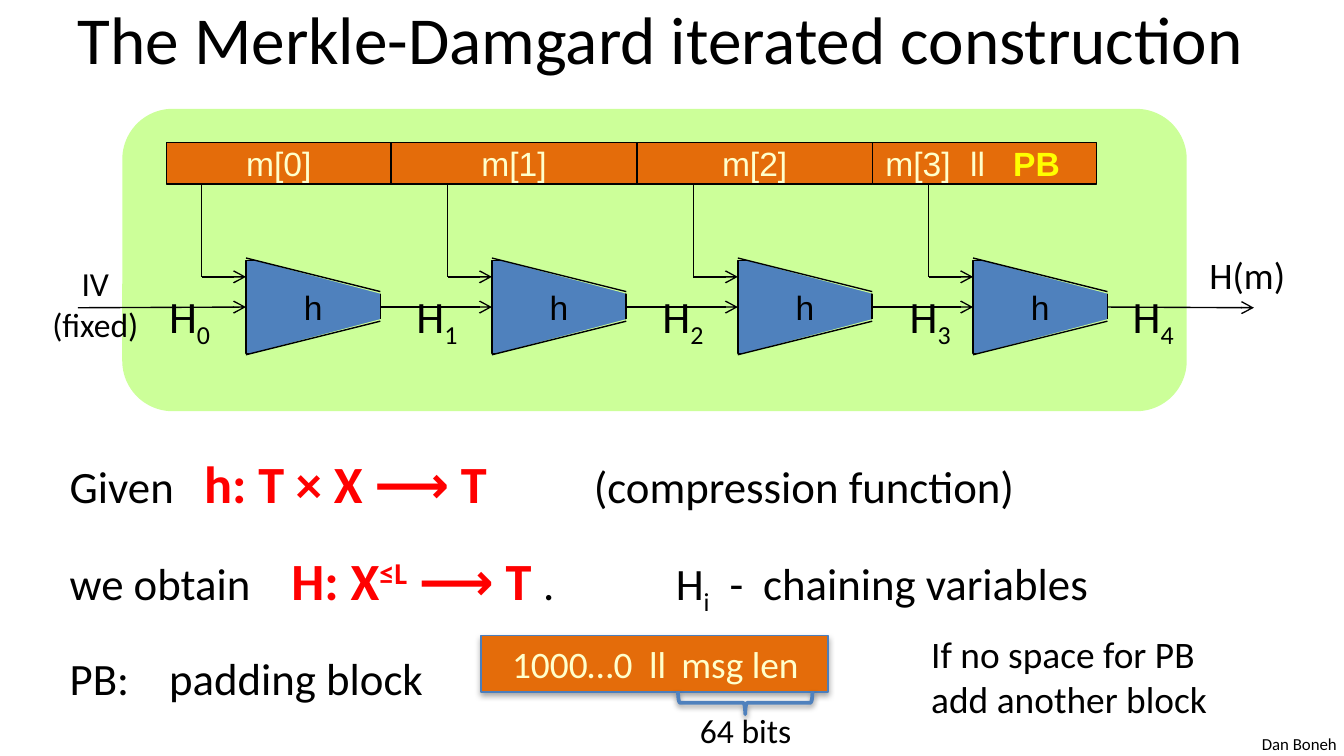
from typing import NamedTuple

from lxml.etree import SubElement
from pptx import Presentation
from pptx.dml.color import RGBColor
from pptx.enum.shapes import MSO_CONNECTOR as Link, MSO_SHAPE as Kind
from pptx.enum.text import MSO_ANCHOR as Anchor, MSO_AUTO_SIZE as Fit, PP_ALIGN as Align
from pptx.oxml.ns import qn
from pptx.util import Inches, Pt

COLORS = {"black": "000000", "panel": "CCFF99", "wedge": "4F81BD", "block": "E46C0A",
          "cream": "FFFFCC", "yellow": "FFFF00", "red": "FF0000", "edge": "4B7EBC"}


class Span(NamedTuple):
    text: str
    size: float = 24
    color: str = "black"
    bold: bool = False
    baseline: int = 0  # percent: above zero raises, below zero lowers
    font: str = "Calibri"


class Block(NamedTuple):
    left: float
    width: float
    spans: list[Span]
    tabs: tuple[float, ...] = ()


class Stage(NamedTuple):
    left: float
    label_left: float


LINE_BREAK = Span("\n")


def rgb(name: str) -> RGBColor:
    return RGBColor.from_string(COLORS[name])


def add_spans(para, spans: list[Span], align=Align.LEFT, tabs: tuple[float, ...] = ()) -> None:
    para.alignment = align
    if tabs:
        tab_list = SubElement(para._p.get_or_add_pPr(), qn("a:tabLst"))
        for stop in tabs:
            SubElement(tab_list, qn("a:tab"), pos=str(Inches(stop)), algn="l")
    for item in spans:
        if item == LINE_BREAK:
            para.add_line_break()
            continue
        span = para.add_run()
        span.text = item.text
        span.font.size, span.font.name, span.font.bold = Pt(item.size), item.font, item.bold
        span.font.color.rgb = rgb(item.color)
        if item.baseline:
            span._r.get_or_add_rPr().set("baseline", str(item.baseline * 1000))


def add_label(page, left: float, top: float, width: float, height: float,
              lines: list[list[Span]], align=Align.LEFT):
    box = page.shapes.add_textbox(Inches(left), Inches(top), Inches(width), Inches(height))
    frame = box.text_frame
    frame.word_wrap = False
    for index, spans in enumerate(lines):
        para = frame.add_paragraph() if index else frame.paragraphs[0]
        add_spans(para, spans, align)
    return box


def add_box(page, kind, left: float, top: float, width: float, height: float,
            fill: str | None = None, line: str | None = None, weight: float = 0.75):
    box = page.shapes.add_shape(kind, Inches(left), Inches(top), Inches(width), Inches(height))
    box.shadow.inherit = False
    if fill:
        box.fill.solid()
        box.fill.fore_color.rgb = rgb(fill)
    else:
        box.fill.background()
    if line:
        box.line.color.rgb = rgb(line)
        box.line.width = Pt(weight)
    else:
        box.line.fill.background()
    box.text_frame.vertical_anchor = Anchor.MIDDLE
    return box


def add_shadow(box, alpha: int, distance: float) -> None:
    effects = box.element.spPr.find(qn("a:effectLst"))
    shadow = SubElement(effects, qn("a:outerShdw"), blurRad=str(Pt(3.1)),
                        dist=str(Pt(distance)), dir="5400000", rotWithShape="0")
    color = SubElement(shadow, qn("a:srgbClr"), val=COLORS["black"])
    SubElement(color, qn("a:alpha"), val=str(alpha * 1000))


def add_line(page, x1: float, y1: float, x2: float, y2: float, arrow: bool = False):
    line = page.shapes.add_connector(Link.STRAIGHT, Inches(x1), Inches(y1), Inches(x2), Inches(y2))
    line.line.color.rgb = rgb("black")
    line.line.width = Pt(0.75)
    properties = line._element.spPr
    if arrow:
        SubElement(properties.find(qn("a:ln")), qn("a:tailEnd"), type="arrow")
    SubElement(properties, qn("a:effectLst"))
    return line


def add_wedge(page, left: float):
    """A rectangle whose right corners are cut off by panel-coloured triangles."""
    wedge = add_box(page, Kind.RECTANGLE, left, 1.94, 1, 0.69, "wedge", "black")
    add_spans(wedge.text_frame.paragraphs[0], [Span("h", 18, font="Arial")], Align.CENTER)
    for top, flips, y1, y2 in ((1.92, ("flipH", "flipV"), 1.92, 2.17),
                               (2.33, ("flipH",), 2.64, 2.39)):
        corner = add_box(page, Kind.RIGHT_TRIANGLE, left, top, 1.17, 0.31, "panel")
        for flip in flips:
            corner.element.spPr.get_or_add_xfrm().set(flip, "1")
        add_line(page, left, y1, left + 1, y2)
    return wedge


def message(text: str) -> Span:
    return Span(text, 18, "cream", font="Arial")


BLOCKS = [
    Block(1.24, 1.67, [message("m[0]")]),
    Block(2.91, 1.83, [message("m[1]")]),
    Block(4.74, 1.75, [message("m[2]")]),
    Block(6.49, 1.67, [message("m[3]\tll\t"), Span("PB", 18, "yellow", True, font="Arial")],
          (0.63, 0.95)),
]
STAGES = [Stage(1.83, 1.16), Stage(3.66, 3), Stage(5.49, 4.83), Stage(7.24, 6.67)]
LAST_LABEL_LEFT = 8.33
CHAIN_Y = 2.29

STATEMENTS = [
    ([Span("Given\t"), Span("h: T × X ⟶ T\t", 28, "red", True), Span("(compression function)")],
     (1, 3.9)),
    ([Span("we obtain\t"), Span("H: X", 28, "red", True), Span("≤L", 28, "red", True, 30),
      Span(" ⟶ T ", 28, "red", True), Span(".\tH"), Span("i", baseline=-25),
      Span("\t-\tchaining variables")], (1.65, 4.51, 4.91, 5.16)),
    ([Span("PB:\tpadding block")], (0.74,)),
]


def main() -> None:
    deck = Presentation()
    deck.slide_width = Inches(10)
    deck.slide_height = deck.slide_width * 9 // 16
    page = deck.slides.add_slide(deck.slide_layouts[5])

    # Title
    title = page.shapes.title
    title.left, title.top, title.width, title.height = map(Inches, (0.08, -0.19, 9.67, 0.94))
    title.text_frame.auto_size = Fit.NONE
    title.text_frame.vertical_anchor = Anchor.MIDDLE
    add_spans(title.text_frame.paragraphs[0],
              [Span("The Merkle-Damgard iterated construction", 36)], Align.CENTER)

    # Statements under the diagram
    body = add_label(page, 0.42, 3.31, 8.92, 2.31, [])
    body.text_frame.word_wrap = True
    for index, (spans, tabs) in enumerate(STATEMENTS):
        para = body.text_frame.add_paragraph() if index else body.text_frame.paragraphs[0]
        if index:
            para.space_before = Pt(18.2)
        add_spans(para, spans, tabs=tabs)

    # Panel and message blocks
    add_box(page, Kind.ROUNDED_RECTANGLE, 0.91, 0.81, 7.92, 2.25, "panel")
    for block in BLOCKS:
        box = add_box(page, Kind.RECTANGLE, block.left, 1.06, block.width, 0.31, "block", "black")
        add_spans(box.text_frame.paragraphs[0], block.spans,
                  Align.LEFT if block.tabs else Align.CENTER, block.tabs)

    # Compression stages, each fed by its message block
    wedges = [add_wedge(page, stage.left) for stage in STAGES]
    for stage in STAGES:
        drop = stage.left - 0.33
        add_line(page, drop, 1.38, drop, 2.06)
        add_line(page, drop, 2.06, stage.left, 2.06, arrow=True)

    # Chain from the fixed value to the hash
    starts = [0.58] + [stage.left + 1 for stage in STAGES]
    ends = [stage.left for stage in STAGES] + [9.33]
    for start, end, source, target in zip(starts, ends, [None, *wedges], [*wedges, None]):
        arrow = add_line(page, start, CHAIN_Y, end, CHAIN_Y, arrow=True)
        if source:
            arrow.begin_connect(source, 3)
        if target:
            arrow.end_connect(target, 1)
    label_lefts = [stage.label_left for stage in STAGES] + [LAST_LABEL_LEFT]
    for index, left in enumerate(label_lefts):
        add_label(page, left, 2.1, 0.53, 0.5, [[Span("H"), Span(str(index), baseline=-25)]])
    add_label(page, 0.28, 1.91, 0.86, 0.71, [[Span("IV", 18)], [Span("(fixed)", 18)]], Align.CENTER)
    add_label(page, 8.9, 1.83, 0.77, 0.44, [[Span("H(m)", 20)]])

    # Padding block
    padding = add_box(page, Kind.RECTANGLE, 3.58, 4.73, 2.58, 0.42, "block", "edge")
    add_shadow(padding, 35, 1.8)
    padding.text_frame.margin_left = Inches(0.23)
    add_spans(padding.text_frame.paragraphs[0], [Span("1000…0\tll\tmsg len", 20, "cream")],
              tabs=(1.02, 1.26))
    brace = add_box(page, Kind.RIGHT_BRACE, 5.46, 4.73, 0.17, 1, line="wedge", weight=2)
    brace.rotation = 90
    add_shadow(brace, 38, 1.6)
    add_label(page, 5.11, 5.23, 0.89, 0.4, [[Span("64 bits", 18)]])

    # Side note and footer
    add_label(page, 6.83, 4.65, 2.28, 0.77,
              [[Span("If no space for PB ", 20), LINE_BREAK, Span("add another block", 20)]])
    add_label(page, 9.29, 5.41, 0.76, 0.25, [[Span("Dan Boneh", 9)]])

    deck.save("out.pptx")


if __name__ == "__main__":
    main()
